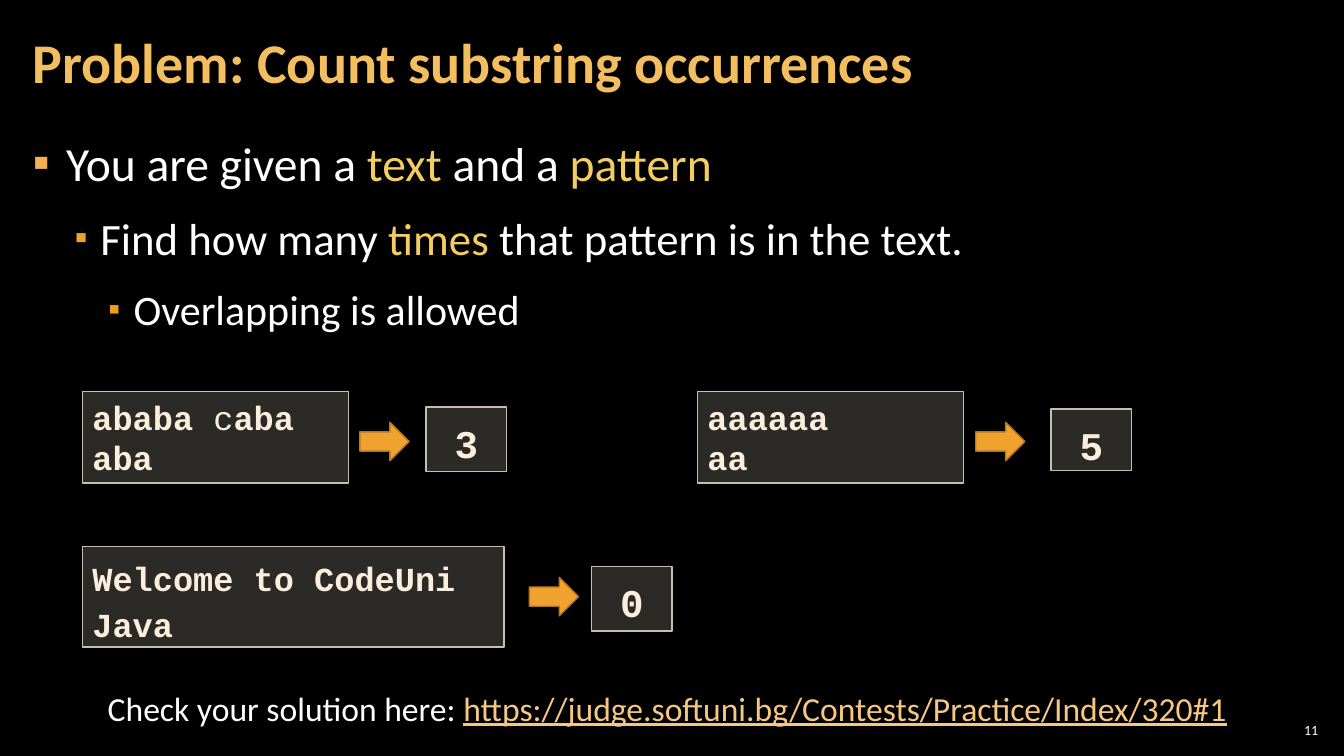
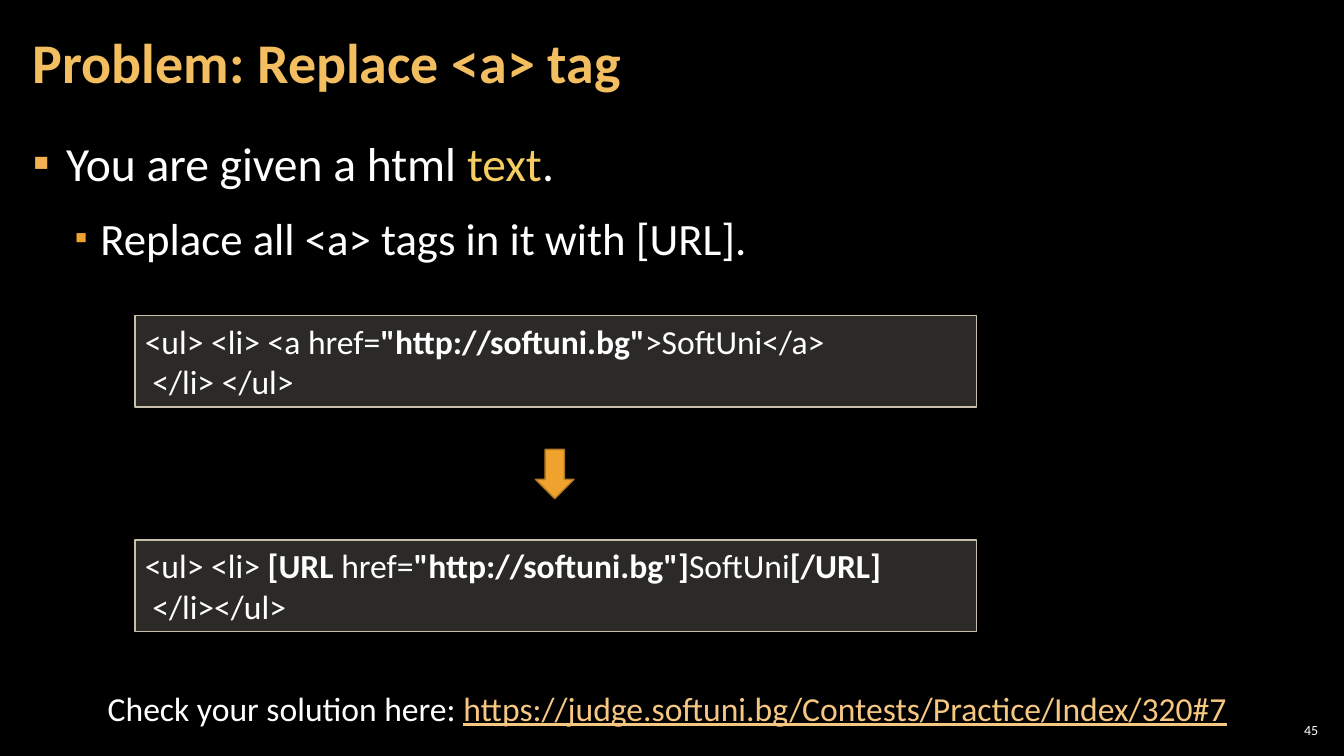
from lxml import etree
from pptx import Presentation
from pptx.dml.color import RGBColor
from pptx.enum.shapes import MSO_SHAPE
from pptx.enum.text import MSO_ANCHOR, MSO_AUTO_SIZE, PP_ALIGN
from pptx.oxml.ns import qn
from pptx.util import Cm, Pt

RECTANGLE, ARROW = MSO_SHAPE.RECTANGLE, MSO_SHAPE.RIGHT_ARROW
TOP, MIDDLE = MSO_ANCHOR.TOP, MSO_ANCHOR.MIDDLE
GROW, FIXED = MSO_AUTO_SIZE.SHAPE_TO_FIT_TEXT, MSO_AUTO_SIZE.NONE
LEFT, CENTER, RIGHT = PP_ALIGN.LEFT, PP_ALIGN.CENTER, PP_ALIGN.RIGHT

BLACK, WHITE, CREAM = "000000", "FFFFFF", "FBEEDC"
GOLD, YELLOW, ORANGE, LINK = "F3BE60", "F3CD60", "F0A22E", "F6C781"
PANEL, PANEL_LINE, ARROW_LINE = "D9D5C7", "C7BFAC", "B27822"
SANS, MONO = "Calibri", "Courier New"
BULLETS = [
    (34, 0.84, 0.84, "F2B254", 100),
    (32, 1.7, 0.64, ORANGE, 80),
    (30, 2.54, 0.64, "EF9A1D", 80),
]


def color(value):
    return RGBColor.from_string(value)


def key(text):
    return text, {"ink": YELLOW}


def bold(text):
    return text, {"bold": True}


class Slides:
    def __init__(self):
        self.deck = Presentation()
        self.deck.slide_width, self.deck.slide_height = Cm(33.87), Cm(19.05)
        background = self.deck.slide_master.background.fill
        background.solid()
        background.fore_color.rgb = color(BLACK)
        self.page = None

    def start(self, title, number):
        self.page = self.deck.slides.add_slide(self.deck.slide_layouts[5])
        box = self.page.shapes.title
        box.left, box.top, box.width, box.height = Cm(0.53), Cm(0.1), Cm(26.59), Cm(3.07)
        self.frame(box, MIDDLE, 0.3, 0.1)
        self.fill_text(box, [[title]], 40, ink=GOLD, weight=True, spacing=0.9)
        box = self.text_box(32.13, 18.14, 1.19, 0.53)
        self.frame(box, MIDDLE, 0.1, 0.1)
        self.fill_text(box, [[number]], 10, align=RIGHT)

    def text_box(self, left, top, width, height):
        return self.page.shapes.add_textbox(Cm(left), Cm(top), Cm(width), Cm(height))

    def frame(self, box, anchor=TOP, side=0.25, edge=0.13, fit=FIXED):
        frame = box.text_frame
        frame.word_wrap, frame.auto_size, frame.vertical_anchor = True, fit, anchor
        frame.margin_left = frame.margin_right = Cm(side)
        frame.margin_top = frame.margin_bottom = Cm(edge)

    def add_spans(self, para, spans, size, font=SANS, ink=WHITE, weight=False):
        for span in spans:
            text, style = (span, {}) if isinstance(span, str) else span
            run = para.add_run()
            run.text = text
            run.font.name, run.font.size = font, Pt(size)
            run.font.bold = style.get("bold", weight)
            run.font.underline = style.get("underline", False)
            run.font.color.rgb = color(style.get("ink", ink))

    def lines(self, box, count):
        frame = box.text_frame
        return [frame.paragraphs[0]] + [frame.add_paragraph() for _ in range(count - 1)]

    def fill_text(self, box, rows, size, align=LEFT, spacing=1.0, **style):
        for para, spans in zip(self.lines(box, len(rows)), rows):
            para.alignment, para.line_spacing = align, spacing
            self.add_spans(para, spans, size, **style)

    def bullets(self, rows):
        box = self.text_box(0.53, 3.2, 32.79, 15.47)
        self.frame(box, TOP, 0.3, 0.1)
        for level, (para, spans) in enumerate(zip(self.lines(box, len(rows)), rows)):
            size, margin, hanging, ink, percent = BULLETS[level]
            para.level = level
            properties = para._p.get_or_add_pPr()
            properties.set("marL", str(Cm(margin)))
            properties.set("indent", str(-Cm(hanging)))
            tint = etree.SubElement(properties, qn("a:buClr"))
            etree.SubElement(tint, qn("a:srgbClr"), val=ink)
            etree.SubElement(properties, qn("a:buSzPct"), val=str(percent * 1000))
            etree.SubElement(properties, qn("a:buFont"), typeface=SANS)
            etree.SubElement(properties, qn("a:buChar"), char="▪")
            para.line_spacing, para.space_after = 1.05, Pt(6)
            para.space_before = Pt(6 if level else 0)
            self.add_spans(para, spans, size)

    def shape(self, kind, left, top, width, height, fill, line):
        box = self.page.shapes.add_shape(kind, Cm(left), Cm(top), Cm(width), Cm(height))
        box.shadow.inherit = False
        box.fill.solid()
        box.fill.fore_color.rgb = color(fill)
        box.line.color.rgb = color(line)
        box.line.width = Pt(1)
        return box

    def panel(self, left, top, width, height, rows, size=24, **style):
        box = self.shape(RECTANGLE, left, top, width, height, PANEL, PANEL_LINE)
        tint = box._element.spPr.find(qn("a:solidFill"))[0]
        etree.SubElement(tint, qn("a:alpha"), val="20000")
        self.frame(box, fit=GROW)
        self.fill_text(box, rows, size, **style)

    def sample(self, left, top, width, height, rows, spacing=1.0):
        self.panel(left, top, width, height, rows, font=MONO, ink=CREAM,
                   weight=True, spacing=spacing)

    def result(self, left, top, height, value):
        self.panel(left, top, 2.03, height, [[value]], 28, font=MONO, ink=CREAM,
                   weight=True, spacing=1.15, align=CENTER)

    def arrow(self, left, top, rotation=0):
        arrow = self.shape(ARROW, left, top, 1.24, 0.97, ORANGE, ARROW_LINE)
        arrow.rotation = rotation

    def solution(self, address):
        box = self.text_box(2.11, 17.2, 29.41, 1.27)
        self.frame(box, fit=GROW)
        spans = ["Check your solution here: ", (address, {"ink": LINK, "underline": True})]
        self.fill_text(box, [spans], 24, align=CENTER)


def count_substrings(slides):
    slides.start("Problem: Count substring occurrences", "11")
    slides.bullets([
        ["You are given a ", key("text "), "and a ", key("pattern")],
        ["Find how many ", key("times"), " that pattern is in the text."],
        ["Overlapping is allowed"],
    ])
    slides.sample(2.08, 9.86, 6.71, 2.31, [["ababa ", ("c", {"bold": False}), "aba"], ["aba"]])
    slides.arrow(9.07, 10.64)
    slides.result(10.74, 10.26, 1.63, "3")
    slides.sample(17.58, 9.86, 6.71, 2.31, [["aaaaaa"], ["aa"]])
    slides.arrow(24.59, 10.64)
    slides.result(26.49, 10.31, 1.55, "5")
    slides.sample(2.08, 13.77, 10.62, 2.54, [["Welcome to CodeUni"], ["Java"]], 1.15)
    slides.arrow(13.34, 14.55)
    slides.result(14.91, 14.27, 1.63, "0")
    slides.solution("https://judge.softuni.bg/Contests/Practice/Index/320#1")


def replace_tag(slides):
    slides.start("Problem: Replace <a> tag", "45")
    slides.bullets([
        ["You are given a html ", key("text"), "."],
        ["Replace all <a> tags in it with [URL]."],
    ])
    slides.panel(3.4, 7.95, 21.21, 2.31, [
        ["<ul> <li> <a href=", bold('"http://softuni.bg"'), ">SoftUni</a>"],
        [" </li> </ul>"],
    ])
    slides.arrow(13.36, 11.46, 90)
    slides.panel(3.4, 13.61, 21.21, 2.31, [
        ["<ul> <li> ", bold("[URL "), "href=", bold('"http://softuni.bg"]'),
         "SoftUni", bold("[/URL]")],
        [" </li></ul>"],
    ])
    slides.solution("https://judge.softuni.bg/Contests/Practice/Index/320#7")


def main():
    slides = Slides()
    count_substrings(slides)
    replace_tag(slides)
    slides.deck.save("out.pptx")


if __name__ == "__main__":
    main()
